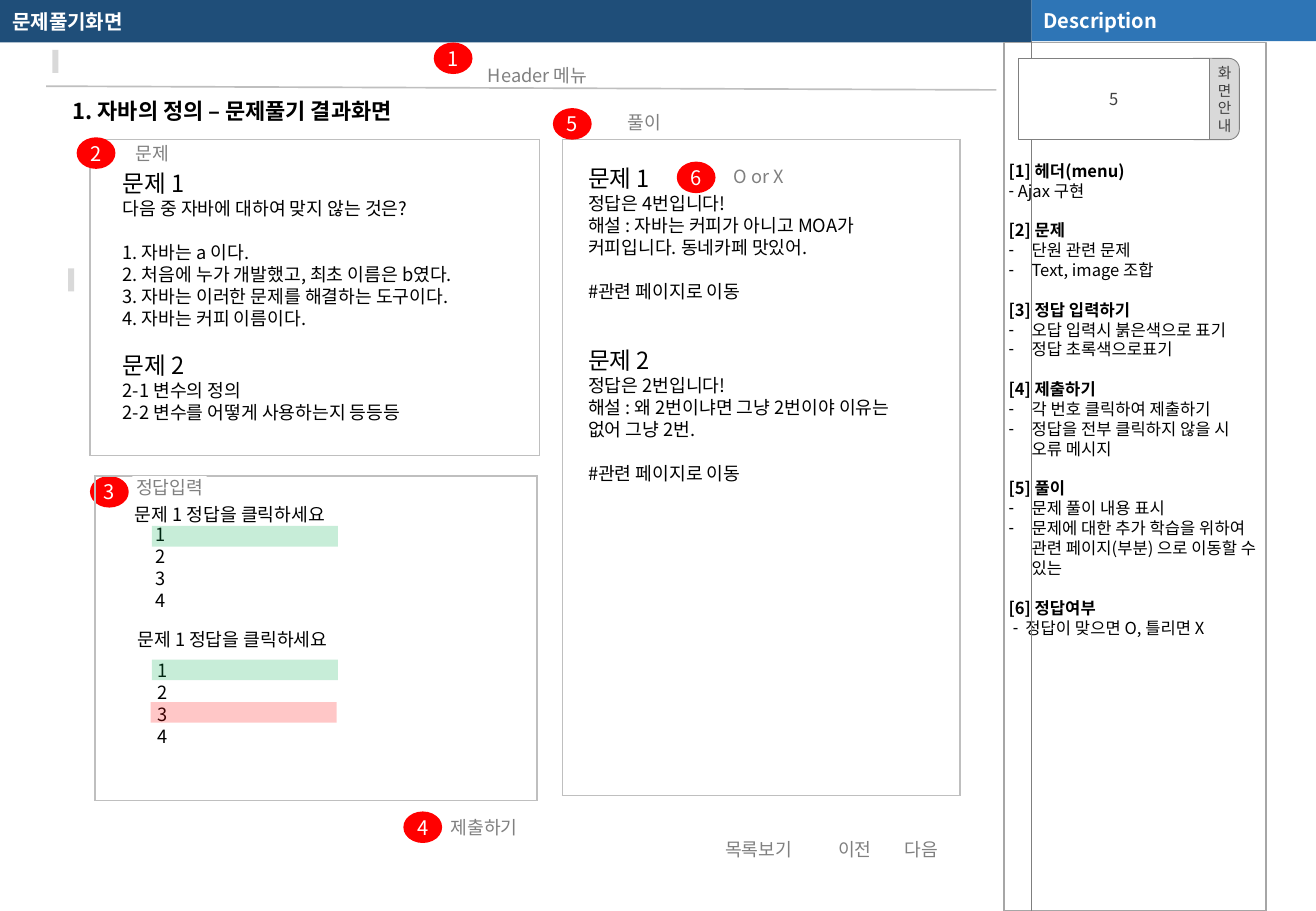
import dataclasses

import pptx
import pptx.dml.color
import pptx.enum.shapes
import pptx.enum.text
import pptx.oxml
import pptx.oxml.ns
import pptx.util

Pt = pptx.util.Pt
Shape = pptx.enum.shapes.MSO_SHAPE
Align = pptx.enum.text.PP_ALIGN
Anchor = pptx.enum.text.MSO_ANCHOR


@dataclasses.dataclass(frozen=True)
class Theme:
    font: str = "Noto Sans CJK KR"
    line_ratio: float = 1.2
    navy: str = "1F4E79"
    blue: str = "2E75B6"
    white: str = "FFFFFF"
    black: str = "000000"
    red: str = "FF0000"
    green: str = "00B050"
    label: str = "808080"
    dark: str = "404040"
    frame: str = "BFBFBF"
    edge: str = "A6A6A6"
    pale: str = "D9D9D9"
    tab: float = 8.7
    note: float = 9.8
    body: float = 10.8
    bar: float = 11.9
    heading: float = 13
    question: float = 14


THEME = Theme()


@dataclasses.dataclass
class Line:
    text: str
    size: float = THEME.body
    color: str = THEME.black
    bold: bool = False
    gap: float = 0        # space before
    margin: float = 0     # left edge of the text
    hang: float = 0       # room for the dash; 0 means no dash


def rgb(color):
    return pptx.dml.color.RGBColor.from_string(color)


def xml(tag, content="", attributes=""):
    return pptx.oxml.parse_xml(
        f'<a:{tag} {pptx.oxml.ns.nsdecls("a")} {attributes}>{content}</a:{tag}>')


def write(frame, lines, align=Align.LEFT, anchor=Anchor.TOP, insets=(0, 0, 0, 0), wrap=True):
    frame.auto_size = pptx.enum.text.MSO_AUTO_SIZE.NONE
    frame.word_wrap = wrap
    frame.vertical_anchor = anchor
    (frame.margin_left, frame.margin_top,
     frame.margin_right, frame.margin_bottom) = map(Pt, insets)
    for index, line in enumerate(lines):
        paragraph = frame.add_paragraph() if index else frame.paragraphs[0]
        properties = paragraph._p.get_or_add_pPr()
        properties.set("marL", str(Pt(line.margin)))
        properties.set("indent", str(-Pt(line.hang)))
        properties.append(xml("buChar", attributes='char="-"') if line.hang else xml("buNone"))
        paragraph.alignment = align
        paragraph.line_spacing = Pt(round(line.size * THEME.line_ratio, 1))
        paragraph.space_before = Pt(line.gap)
        run = paragraph.add_run()
        run.text = line.text
        run.font.name = THEME.font
        run.font.size = Pt(line.size)
        run.font.bold = line.bold
        run.font.color.rgb = rgb(line.color)
        run._r.get_or_add_rPr().append(xml("ea", attributes=f'typeface="{THEME.font}"'))


def block(slide, kind, box, fill, edge=None, alpha=None):
    shape = slide.shapes.add_shape(kind, *map(Pt, box))
    shape.shadow.inherit = False
    shape.fill.solid()
    shape.fill.fore_color.rgb = rgb(fill)
    if alpha:
        color = shape.fill._xPr.find(".//" + pptx.oxml.ns.qn("a:srgbClr"))
        color.append(xml("alpha", attributes=f'val="{alpha * 1000}"'))
    if edge:
        shape.line.color.rgb = rgb(edge)
        shape.line.width = Pt(0.5)
    else:
        shape.line.fill.background()
    return shape


def rule(slide, start, end, color, width):
    connector = slide.shapes.add_connector(
        pptx.enum.shapes.MSO_CONNECTOR.STRAIGHT, *map(Pt, start + end))
    connector.line.color.rgb = rgb(color)
    connector.line.width = Pt(width)
    connector._element.spPr.append(xml("effectLst"))


def panel(slide, box):
    """One-cell table that frames a section."""
    table = slide.shapes.add_table(1, 1, *map(Pt, box)).table
    cell = table.cell(0, 0)
    properties = cell._tc.get_or_add_tcPr()
    stroke = f'<a:solidFill><a:srgbClr val="{THEME.frame}"/></a:solidFill>'
    for side in ("lnL", "lnR", "lnT", "lnB"):
        properties.append(xml(side, stroke, f'w="{Pt(1)}"'))
    cell.fill.background()


def text(slide, box, lines, align=Align.LEFT):
    passage = slide.shapes.add_textbox(*map(Pt, box))
    write(passage.text_frame, lines, align)


def label(slide, left, top, width, caption, covers=False):
    box = (left, top, width, 13)
    lines = [Line(caption, color=THEME.label)]
    if covers:
        write(block(slide, Shape.RECTANGLE, box, THEME.white).text_frame, lines, Align.CENTER)
    else:
        text(slide, box, lines, Align.CENTER)


def badge(slide, number, left, top):
    circle = block(slide, Shape.OVAL, (left, top, 23, 18.7), THEME.red)
    write(circle.text_frame, [Line(number, THEME.bar, THEME.white)],
          Align.CENTER, Anchor.MIDDLE, wrap=False)


def bars(slide):
    title = slide.shapes.title
    title.left, title.top, title.width, title.height = map(Pt, (0, 0, 611.3, 25.2))
    title.fill.solid()
    title.fill.fore_color.rgb = rgb(THEME.navy)
    description = block(slide, Shape.RECTANGLE, (611.3, 0, 168.5, 24.5), THEME.blue)
    for bar, caption in ((title, "문제풀기화면"), (description, "Description")):
        write(bar.text_frame, [Line(caption, THEME.bar, THEME.white, True)],
              anchor=Anchor.MIDDLE, insets=(7.2, 0, 7.2, 0))


def description_list(slide):
    sections = [
        ("[1] 헤더(menu)", 5.5, 5.5, ["Ajax 구현"]),
        ("[2] 문제", 13.6, 13.6, ["단원 관련 문제", "Text, image 조합"]),
        ("[3] 정답 입력하기", 13.6, 13.6, ["오답 입력시 붉은색으로 표기", "정답 초록색으로표기"]),
        ("[4] 제출하기", 13.6, 13.6,
         ["각 번호 클릭하여 제출하기", "정답을 전부 클릭하지 않을 시 오류 메시지"]),
        ("[5] 풀이", 13.6, 13.6,
         ["문제 풀이 내용 표시",
          "문제에 대한 추가 학습을 위하여 관련 페이지(부분) 으로 이동할 수 있는"]),
        ("[6] 정답여부", 10, 7.5, ["정답이 맞으면 O, 틀리면 X"]),
    ]
    lines = []
    for heading, margin, hang, notes in sections:
        lines.append(Line(heading, THEME.note, bold=True, gap=11.7 if lines else 0))
        lines += [Line(note, THEME.note, margin=margin, hang=hang) for note in notes]
    notes_box = slide.placeholders[1]
    (notes_box.left, notes_box.top,
     notes_box.width, notes_box.height) = map(Pt, (594.7, 25.2, 155.5, 514.8))
    notes_box.line.color.rgb = rgb(THEME.edge)
    notes_box.line.width = Pt(1)
    write(notes_box.text_frame, lines, insets=(2.9, 70, 2.9, 0))


def page_marker(slide):
    tab = block(slide, Shape.ROUNDED_RECTANGLE, (701.3, 34.6, 33.1, 48.2), THEME.pale, THEME.label)
    tab.adjustments[0] = 0.19
    write(tab.text_frame, [Line(letter, THEME.tab, THEME.dark) for letter in "화면안내"],
          Align.RIGHT, Anchor.MIDDLE, (0, 0, 2.9, 0), False)
    page = block(slide, Shape.RECTANGLE, (603.4, 34.6, 113, 48.2), THEME.white, THEME.label)
    write(page.text_frame, [Line("5", THEME.note, THEME.dark)],
          Align.CENTER, Anchor.MIDDLE, wrap=False)


def questions(slide):
    panel(slide, (53.3, 82.8, 266.4, 187.2))
    text(slide, (72.7, 100.1, 215.3, 152.6), [
        Line("문제 1", THEME.question),
        Line("다음 중 자바에 대하여 맞지 않는 것은?"),
        Line("1. 자바는 a 이다.", gap=13),
        Line("2. 처음에 누가 개발했고, 최초 이름은 b였다."),
        Line("3. 자바는 이러한 문제를 해결하는 도구이다."),
        Line("4. 자바는 커피 이름이다."),
        Line("문제 2", THEME.question, gap=13),
        Line("2-1 변수의 정의"),
        Line("2-2 변수를 어떻게 사용하는지 등등등"),
    ])
    label(slide, 68.4, 84.2, 43.9, "문제")
    badge(slide, "2", 45.4, 81.4)


def answers(slide):
    badge(slide, "3", 53.3, 282.2)
    panel(slide, (56.2, 282.2, 262.1, 192.2))
    label(slide, 78.5, 282.2, 43.9, "정답입력", covers=True)
    for left, prompt_top, list_left, list_top in ((79.9, 298.1, 92.2, 310.3),
                                                  (81.4, 372.2, 93.6, 391)):
        text(slide, (left, prompt_top, 215.3, 13), [Line("문제 1 정답을 클릭하세요")])
        text(slide, (list_left, list_top, 72, 52.6), [Line(choice) for choice in "1234"])
    for left, top, color in ((90, 311.8, THEME.green), (90, 391, THEME.green),
                             (89.3, 416.2, THEME.red)):
        block(slide, Shape.RECTANGLE, (left, top, 110.2, 12.2), color, alpha=22)


def solutions(slide):
    panel(slide, (333.4, 82.8, 235.4, 388.8))
    text(slide, (348.5, 97.2, 189.4, 191.5), [
        Line("문제 1", THEME.question),
        Line("정답은 4번입니다!"),
        Line("해설 : 자바는 커피가 아니고 MOA가 커피입니다. 동네카페 맛있어."),
        Line("#관련 페이지로 이동", gap=13),
        Line("문제 2", THEME.question, gap=26),
        Line("정답은 2번입니다!"),
        Line("해설 : 왜 2번이냐면 그냥 2번이야 이유는 없어 그냥 2번."),
        Line("#관련 페이지로 이동", gap=13),
    ])
    label(slide, 350.6, 66.2, 62.6, "풀이")
    badge(slide, "5", 327.6, 64.1)
    label(slide, 418.3, 97.9, 62.6, "O or X")
    badge(slide, "6", 401, 95.8)


def main():
    deck = pptx.Presentation()
    deck.slide_width, deck.slide_height = Pt(779.76), Pt(540)
    slide = deck.slides.add_slide(deck.slide_layouts[1])

    # Top bars and the description column
    bars(slide)
    rule(slide, (611.3, 24.5), (611.3, 540), "7F7F7F", 0.25)
    description_list(slide)
    page_marker(slide)

    # Header menu and page heading
    rule(slide, (27.4, 51.1), (590.4, 53.3), THEME.frame, 1)
    for left, top in ((31, 29.5), (40.3, 159.1)):
        block(slide, Shape.RECTANGLE, (left, top, 3.6, 13.7), THEME.pale)
    label(slide, 33.1, 38.2, 571, "Header 메뉴")
    badge(slide, "1", 257, 25.2)
    text(slide, (43.2, 57.6, 226, 16),
         [Line("1. 자바의 정의 – 문제풀기 결과화면", THEME.heading, bold=True)])

    # Main sections
    questions(slide)
    answers(slide)
    solutions(slide)

    # Submit and navigation
    label(slide, 255.6, 483.8, 62.6, "제출하기")
    badge(slide, "4", 239, 481)
    for left, caption in ((418.3, "목록보기"), (475.2, "이전"), (514.8, "다음")):
        label(slide, left, 496.8, 62.6, caption)

    deck.save("out.pptx")


if __name__ == "__main__":
    main()
